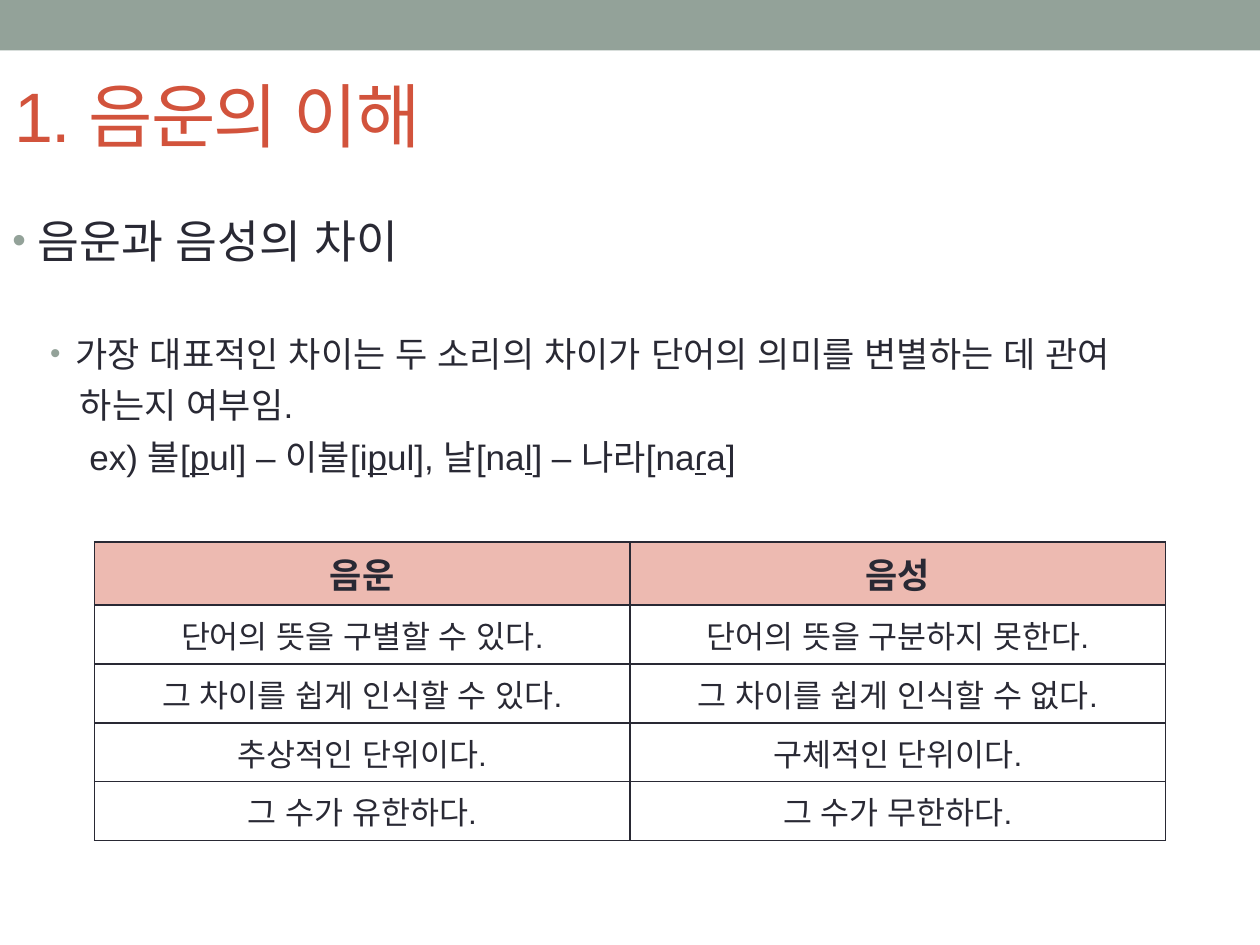
from dataclasses import dataclass

from lxml import etree
from pptx import Presentation
from pptx.dml.color import RGBColor
from pptx.enum.shapes import MSO_SHAPE
from pptx.enum.text import MSO_ANCHOR, PP_ALIGN
from pptx.oxml.ns import qn
from pptx.util import Pt

RECTANGLE = MSO_SHAPE.RECTANGLE
MIDDLE = MSO_ANCHOR.MIDDLE
LEFT, CENTER = PP_ALIGN.LEFT, PP_ALIGN.CENTER


@dataclass(frozen=True)
class Theme:
    """Colours, font and type sizes of the slide."""
    font: str = "Arial"
    ink: str = "292934"
    accent: str = "D2533C"
    sage: str = "93A299"
    header: str = "EDBAB1"
    title: int = 40
    topic: int = 26
    body: int = 20
    cell: int = 18


THEME = Theme()
TITLE = "1. 음운의 이해"
TOPIC = "음운과 음성의 차이"
EXPLANATION = ("가장 대표적인 차이는 두 소리의 차이가 단어의 의미를 변별하는 데 관여",
               "하는지 여부임.")
EXAMPLE = ("ex) 불[", "p", "ul] – 이불[i", "p", "ul], 날[na", "l",
           "] – 나라[na", "ɾ", "a]")
COMPARISON = (
    ("음운", "음성"),
    ("단어의 뜻을 구별할 수 있다.", "단어의 뜻을 구분하지 못한다."),
    ("그 차이를 쉽게 인식할 수 있다.", "그 차이를 쉽게 인식할 수 없다."),
    ("추상적인 단위이다.", "구체적인 단위이다."),
    ("그 수가 유한하다.", "그 수가 무한하다."),
)


def write(paragraph, text, size=THEME.body, color=THEME.ink, bold=False,
          underline=False, align=LEFT, tracking=None):
    """Add a formatted run to a paragraph."""
    paragraph.alignment = align
    run = paragraph.add_run()
    run.text = text
    font = run.font
    font.name, font.size, font.bold = THEME.font, Pt(size), bold
    font.underline = underline
    font.color.rgb = RGBColor.from_string(color)
    properties = run._r.get_or_add_rPr()
    etree.SubElement(properties, qn("a:ea"), typeface=THEME.font)
    if tracking is not None:
        properties.set("spc", str(tracking * 100))


def indent(paragraph, margin, hanging=0, before=0, bullet=False):
    """Set a paragraph's indents, spacing and bullet."""
    paragraph.space_before = Pt(before)
    properties = paragraph._p.get_or_add_pPr()
    properties.set("marL", str(Pt(margin)))
    properties.set("indent", str(-Pt(hanging)))
    if bullet:
        bullet_color = etree.SubElement(properties, qn("a:buClr"))
        etree.SubElement(bullet_color, qn("a:srgbClr"), val=THEME.sage)
        etree.SubElement(properties, qn("a:buSzPct"), val="85000")
        etree.SubElement(properties, qn("a:buFont"), typeface=THEME.font)
        etree.SubElement(properties, qn("a:buChar"), char="•")


def add_band(slide, left, top, width, height):
    """Draw the plain band along the top edge."""
    band = slide.shapes.add_shape(RECTANGLE, Pt(left), Pt(top), Pt(width), Pt(height))
    band.shadow.inherit = False
    band.fill.solid()
    band.fill.fore_color.rgb = RGBColor.from_string(THEME.sage)
    band.line.fill.background()


def add_title(slide, left, top, width, height):
    """Place and format the title placeholder."""
    title = slide.shapes.title
    title.left, title.top, title.width, title.height = map(Pt, (left, top, width, height))
    title.text_frame.vertical_anchor = MIDDLE
    write(title.text_frame.paragraphs[0], TITLE, size=THEME.title,
          color=THEME.accent, tracking=-1)


def add_body(slide, left, top, width, height):
    """Write the topic, its explanation and the example."""
    frame = slide.shapes.add_textbox(Pt(left), Pt(top), Pt(width), Pt(height)).text_frame
    frame.word_wrap = True
    topic = frame.paragraphs[0]
    indent(topic, 14.4, hanging=14.4, bullet=True)
    write(topic, TOPIC, size=THEME.topic)

    opening, ending, example = (frame.add_paragraph() for _ in range(3))
    indent(opening, 36, hanging=14.4, before=37.3, bullet=True)
    indent(ending, 38.5, before=5.3)
    indent(example, 44, before=5.3)
    for paragraph, text in zip((opening, ending), EXPLANATION):
        write(paragraph, text)
    for position, text in enumerate(EXAMPLE):
        write(example, text, underline=position % 2 == 1)


def add_borders(cell):
    """Draw a thin line on every side of a cell."""
    properties = cell._tc.get_or_add_tcPr()
    for position, side in enumerate(("lnL", "lnR", "lnT", "lnB")):
        line = etree.Element(qn(f"a:{side}"), w=str(Pt(1)))
        fill = etree.SubElement(line, qn("a:solidFill"))
        etree.SubElement(fill, qn("a:srgbClr"), val=THEME.ink)
        properties.insert(position, line)


def add_comparison(slide, left, top, width, header_height, row_height):
    """Build the two-column comparison table."""
    row_count, column_count = len(COMPARISON), len(COMPARISON[0])
    height = header_height + row_height * (row_count - 1)
    table = slide.shapes.add_table(row_count, column_count, Pt(left), Pt(top),
                                   Pt(width), Pt(height)).table
    for column in table.columns:
        column.width = Pt(width / column_count)
    for index, texts in enumerate(COMPARISON):
        is_header = index == 0
        table.rows[index].height = Pt(header_height if is_header else row_height)
        for cell, text in zip(table.rows[index].cells, texts):
            cell.margin_top = Pt(8.4)
            if is_header:
                cell.fill.solid()
                cell.fill.fore_color.rgb = RGBColor.from_string(THEME.header)
            else:
                cell.fill.background()
            add_borders(cell)
            write(cell.text_frame.paragraphs[0], text, bold=is_header, align=CENTER,
                  size=THEME.body if is_header else THEME.cell)


def main():
    """Build and save the slide."""
    presentation = Presentation()
    presentation.slide_width, presentation.slide_height = Pt(720), Pt(540)
    slide = presentation.slides.add_slide(presentation.slide_layouts[5])
    add_band(slide, 0, 0, 720, 28.8)
    add_title(slide, 1, 26.5, 648, 77.76)
    add_body(slide, 0, 118, 720, 414)
    add_comparison(slide, 54, 309.6, 612, header_height=36.2, row_height=33.3)
    presentation.save("out.pptx")


if __name__ == "__main__":
    main()
